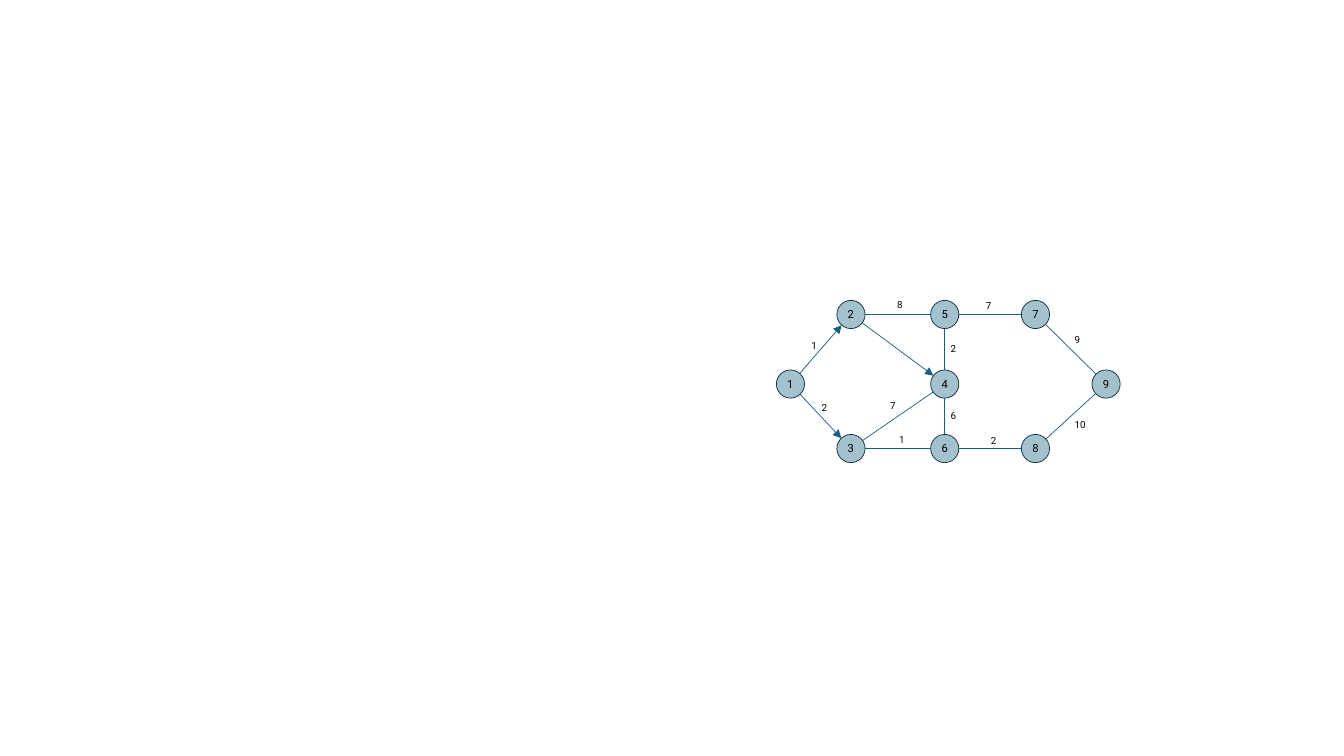
import math

from lxml import etree
from pptx import Presentation
from pptx.dml.color import RGBColor
from pptx.enum import shapes, text
from pptx.oxml import ns
from pptx.util import Inches, Pt

TEAL = RGBColor(0x15, 0x60, 0x82)
NAVY = RGBColor(0x09, 0x2A, 0x39)
BLACK = RGBColor(0, 0, 0)
FONT = "Roboto"
DIAMETER = 0.28
RADIUS = DIAMETER / 2

# Columns and rows of the graph, measured from its top left corner
COLUMNS = (0, 0.6, 1.53, 2.43, 3.13)
TOP, MIDDLE, BOTTOM = 0, 0.69, 1.33
NODES = {
    "1": (COLUMNS[0], MIDDLE), "2": (COLUMNS[1], TOP), "5": (COLUMNS[2], TOP),
    "7": (COLUMNS[3], TOP), "9": (COLUMNS[4], MIDDLE), "3": (COLUMNS[1], BOTTOM),
    "6": (COLUMNS[2], BOTTOM), "8": (COLUMNS[3], BOTTOM), "4": (COLUMNS[2], MIDDLE),
}

# Start node, end node, directed, weight, offset of the weight
EDGES = (
    ("1", "2", True, "1", (0.25, 0.34)),
    ("1", "3", True, "2", (0.35, 0.96)),
    ("2", "5", False, "8", (1.1, -0.07)),
    ("5", "7", False, "7", (1.98, -0.06)),
    ("3", "6", False, "1", (1.12, 1.27)),
    ("3", "4", False, "7", (1.03, 0.94)),
    ("5", "4", False, "2", (1.63, 0.37)),
    ("4", "6", False, "6", (1.63, 1.04)),
    ("6", "8", False, "2", (2.03, 1.28)),
    ("7", "9", False, "9", (2.86, 0.28)),
    ("8", "9", False, "10", (2.86, 1.12)),
    ("2", "4", True, None, None),
)


def add_label(slide, left, top, width, height, label, size, wrap):
    box = slide.shapes.add_textbox(*map(Inches, (left, top, width, height)))
    frame = box.text_frame
    frame.word_wrap = wrap
    frame.auto_size = text.MSO_AUTO_SIZE.SHAPE_TO_FIT_TEXT
    run = frame.paragraphs[0].add_run()
    run.text = label
    for name, value in {"name": FONT, "size": Pt(size)}.items():
        setattr(run.font, name, value)
    run.font.color.rgb = BLACK


def add_node(slide, left, top, number):
    circle = slide.shapes.add_shape(
        shapes.MSO_SHAPE.OVAL, *map(Inches, (left, top, DIAMETER, DIAMETER)))
    circle.shadow.inherit = False
    circle.fill.solid()
    circle.fill.fore_color.rgb = TEAL
    color = circle.fill._xPr.find(ns.qn("a:solidFill"))[0]
    etree.SubElement(color, ns.qn("a:alpha"), val="39000")
    circle.line.color.rgb = NAVY
    circle.line.width = Pt(0.5)
    add_label(slide, left + 0.01, top + 0.02, 0.26, 0.24, number, 8, False)


def add_edge(slide, start, end, directed):
    """Join two circle centres, trimmed to the rims."""
    angle = math.atan2(end[1] - start[1], end[0] - start[0])
    dx, dy = RADIUS * math.cos(angle), RADIUS * math.sin(angle)
    ends = (start[0] + dx, start[1] + dy, end[0] - dx, end[1] - dy)
    edge = slide.shapes.add_connector(
        shapes.MSO_CONNECTOR.STRAIGHT, *map(Inches, ends))
    edge.line.color.rgb = TEAL
    edge.line.width = Pt(0.5)
    if directed:
        etree.SubElement(edge.line._get_or_add_ln(), ns.qn("a:tailEnd"), type="triangle")
    etree.SubElement(edge._element.spPr, ns.qn("a:effectLst"))


def add_graph(slide, left, top):
    # Numbered nodes
    for number, (x, y) in NODES.items():
        add_node(slide, left + x, top + y, number)

    # Edges and their weights
    centres = {number: (left + x + RADIUS, top + y + RADIUS)
               for number, (x, y) in NODES.items()}
    for start, end, directed, weight, offset in EDGES:
        add_edge(slide, centres[start], centres[end], directed)
        if weight:
            width = 0.34 if len(weight) > 1 else 0.25
            add_label(slide, left + offset[0], top + offset[1],
                      width, 0.22, weight, 7, True)


def main():
    deck = Presentation()
    deck.slide_width, deck.slide_height = Inches(13.33), Inches(7.5)
    slide = deck.slides.add_slide(deck.slide_layouts[6])
    add_graph(slide, 7.7, 2.98)
    deck.save("out.pptx")


if __name__ == "__main__":
    main()
